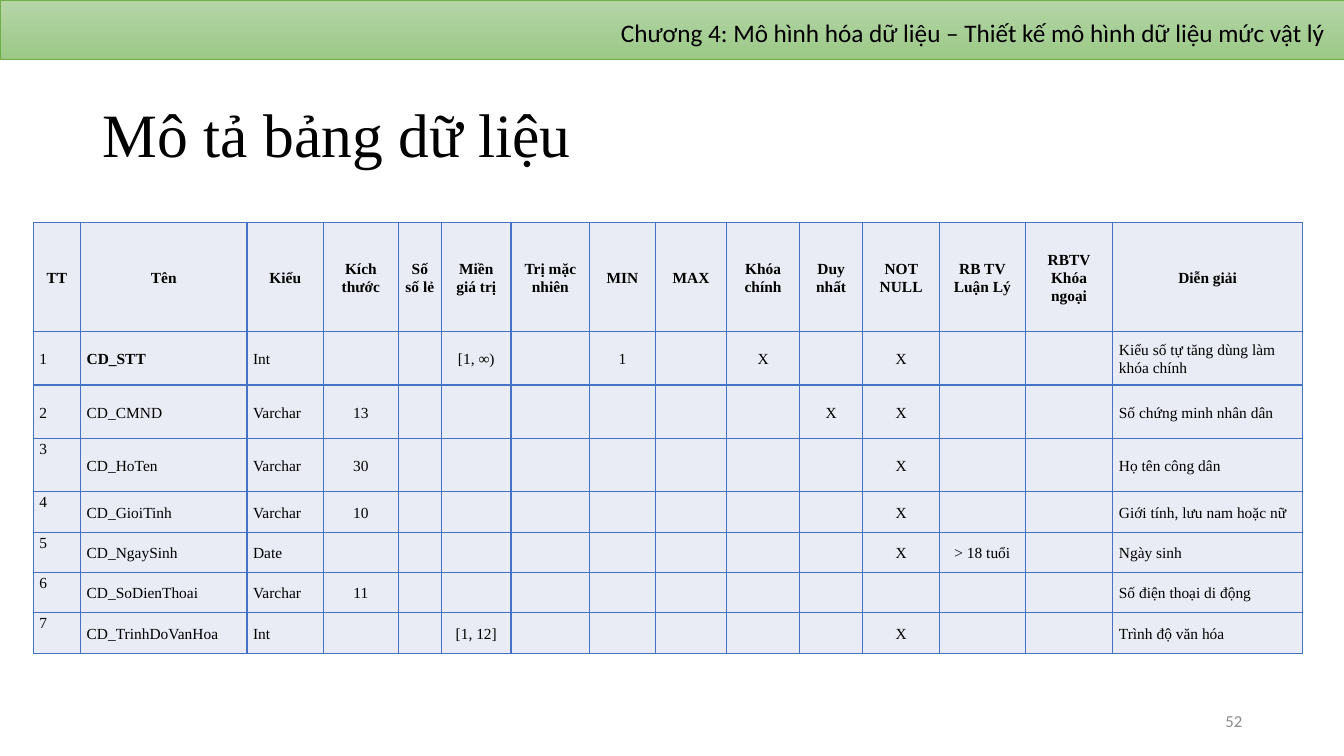
from dataclasses import dataclass, field
from typing import Any

from lxml import etree
from pptx import Presentation
from pptx import util as u
from pptx.dml.color import RGBColor
from pptx.enum import shapes, text
from pptx.oxml.ns import qn

HUES = {
    "top": "B5D5A7", "base": "9CC987", "edge": "70AD47",
    "cell": "E9EBF5", "grid": "4472C4", "ink": "000000", "page": "8C8C8C",
}
SERIF, SANS = "Times New Roman", "Calibri"
LEFT, MID, RIGHT = text.PP_ALIGN.LEFT, text.PP_ALIGN.CENTER, text.PP_ALIGN.RIGHT
TOP, CORE = text.MSO_ANCHOR.TOP, text.MSO_ANCHOR.MIDDLE
ROWS = [1.08] + [0.53] * 3 + [0.4] * 4


@dataclass(frozen=True)
class Col:
    key: str
    head: str
    width: float
    align: Any = MID


@dataclass(frozen=True)
class Item:
    name: str
    kind: str
    note: str
    more: dict[str, str] = field(default_factory=dict)

    def value(self, key: str) -> str:
        return self.more.get(key, "")


@dataclass(frozen=True)
class Label:
    words: str
    box: tuple[float, float, float, float]
    size: float
    hue: str
    anchor: Any


COLS = [
    Col("no", "TT", 0.47, LEFT),
    Col("name", "Tên", 1.65, LEFT),
    Col("kind", "Kiểu", 0.76, LEFT),
    Col("size", "Kích thước", 0.74),
    Col("dec", "Số số lẻ", 0.43),
    Col("range", "Miền giá trị", 0.69),
    Col("init", "Trị mặc nhiên", 0.78),
    Col("min", "MIN", 0.65),
    Col("max", "MAX", 0.71),
    Col("key", "Khóa chính", 0.72),
    Col("only", "Duy nhất", 0.63),
    Col("must", "NOT NULL", 0.76),
    Col("rule", "RB TV Luận Lý", 0.85),
    Col("link", "RBTV Khóa ngoại", 0.87),
    Col("note", "Diễn giải", 1.88, LEFT),
]
ITEMS = [
    Item("CD_STT", "Int", "Kiểu số tự tăng dùng làm khóa chính",
         {"range": "[1, ∞)", "min": "1", "key": "X", "must": "X"}),
    Item("CD_CMND", "Varchar", "Số chứng minh nhân dân",
         {"size": "13", "only": "X", "must": "X"}),
    Item("CD_HoTen", "Varchar", "Họ tên công dân", {"size": "30", "must": "X"}),
    Item("CD_GioiTinh", "Varchar", "Giới tính, lưu nam hoặc nữ",
         {"size": "10", "must": "X"}),
    Item("CD_NgaySinh", "Date", "Ngày sinh", {"must": "X", "rule": "> 18 tuổi"}),
    Item("CD_SoDienThoai", "Varchar", "Số điện thoại di động", {"size": "11"}),
    Item("CD_TrinhDoVanHoa", "Int", "Trình độ văn hóa",
         {"range": "[1, 12]", "must": "X"}),
]
LABELS = [
    Label("52", (9.42, 6.95, 3, 0.4), 12, "page", CORE),
    Label("Chương 4: Mô hình hóa dữ liệu – Thiết kế mô hình dữ liệu mức vật lý",
          (5.77, 0.12, 7.47, 0.4), 18, "ink", TOP),
]


def tint(name: str) -> RGBColor:
    return RGBColor.from_string(HUES[name])


def apply(obj: Any, form: dict[str, Any]) -> None:
    for key, value in form.items():
        setattr(obj, key, value)


def place(box: tuple[float, float, float, float]) -> list[int]:
    return [u.Inches(side) for side in box]


def write(frame: Any, words: str, font: dict[str, Any], para: dict[str, Any],
          hue: str = "ink") -> None:
    line = frame.paragraphs[0]
    apply(line, para)
    if words:
        run = line.add_run()
        run.text = words
        apply(run.font, font)
        run.font.color.rgb = tint(hue)


def border(cell: Any) -> None:
    """Draw a 1 pt grid line on all four sides, ahead of the cell's fill."""
    props = cell._tc.get_or_add_tcPr()
    for spot, side in enumerate(("lnL", "lnR", "lnT", "lnB")):
        line = etree.Element(qn(f"a:{side}"), w=str(u.Pt(1)))
        fill = etree.SubElement(line, qn("a:solidFill"))
        etree.SubElement(fill, qn("a:srgbClr"), val=HUES["grid"])
        props.insert(spot, line)


def add_band(slide: Any) -> None:
    band = slide.shapes.add_shape(shapes.MSO_SHAPE.RECTANGLE,
                                  *place((0, 0, 13.33, 0.59)))
    band.shadow.inherit = False
    band.fill.gradient()
    band.fill.gradient_angle = 270
    for stop, hue in zip(band.fill.gradient_stops, ("top", "base")):
        stop.color.rgb = tint(hue)
    band.line.color.rgb = tint("edge")
    band.line.width = u.Pt(0.5)


def add_title(slide: Any) -> None:
    title = slide.shapes.title
    sides = place((0.92, 0.88, 11.5, 0.97))
    apply(title, dict(zip(("left", "top", "width", "height"), sides)))
    apply(title.text_frame, {"vertical_anchor": CORE, "word_wrap": True,
                             "auto_size": text.MSO_AUTO_SIZE.NONE})
    write(title.text_frame, "Mô tả bảng dữ liệu",
          {"size": u.Pt(44), "name": SERIF},
          {"alignment": LEFT, "line_spacing": 0.9})


def add_label(slide: Any, label: Label) -> None:
    frame = slide.shapes.add_textbox(*place(label.box)).text_frame
    apply(frame, {"word_wrap": True, "vertical_anchor": label.anchor})
    write(frame, label.words, {"size": u.Pt(label.size), "name": SANS},
          {"alignment": RIGHT}, label.hue)


def fill_cell(cell: Any, words: str, align: Any, anchor: Any, bold: bool) -> None:
    apply(cell, {"margin_left": u.Inches(0.06), "margin_right": u.Inches(0.06),
                 "margin_top": u.Inches(0.01), "margin_bottom": 0,
                 "vertical_anchor": anchor})
    cell.fill.solid()
    cell.fill.fore_color.rgb = tint("cell")
    border(cell)
    write(cell.text_frame, words,
          {"size": u.Pt(11), "name": SERIF, "bold": bold},
          {"alignment": align, "line_spacing": 1.07, "space_after": u.Pt(8)})


def add_grid(slide: Any) -> None:
    grid = slide.shapes.add_table(len(ROWS), len(COLS),
                                  *place((0.33, 2.21, 12.6, 4.27))).table
    apply(grid, {"first_row": False, "horz_banding": False})
    for row, height in zip(grid.rows, ROWS):
        row.height = u.Inches(height)
    for x, col in enumerate(COLS):
        grid.columns[x].width = u.Inches(col.width)
        fill_cell(grid.cell(0, x), col.head, MID, CORE, True)
        for y, item in enumerate(ITEMS, 1):
            main = {"no": str(y), "name": item.name,
                    "kind": item.kind, "note": item.note}
            words = main.get(col.key) or item.value(col.key)
            anchor = TOP if col.key == "no" and y > 2 else CORE
            bold = col.key == "name" and bool(item.value("key"))
            fill_cell(grid.cell(y, x), words, col.align, anchor, bold)


def main() -> None:
    deck = Presentation()
    apply(deck, {"slide_width": u.Inches(13.33), "slide_height": u.Inches(7.5)})
    slide = deck.slides.add_slide(deck.slide_layouts[5])
    add_band(slide)
    add_title(slide)
    add_grid(slide)
    for label in LABELS:
        add_label(slide, label)
    deck.save("out.pptx")


if __name__ == "__main__":
    main()
